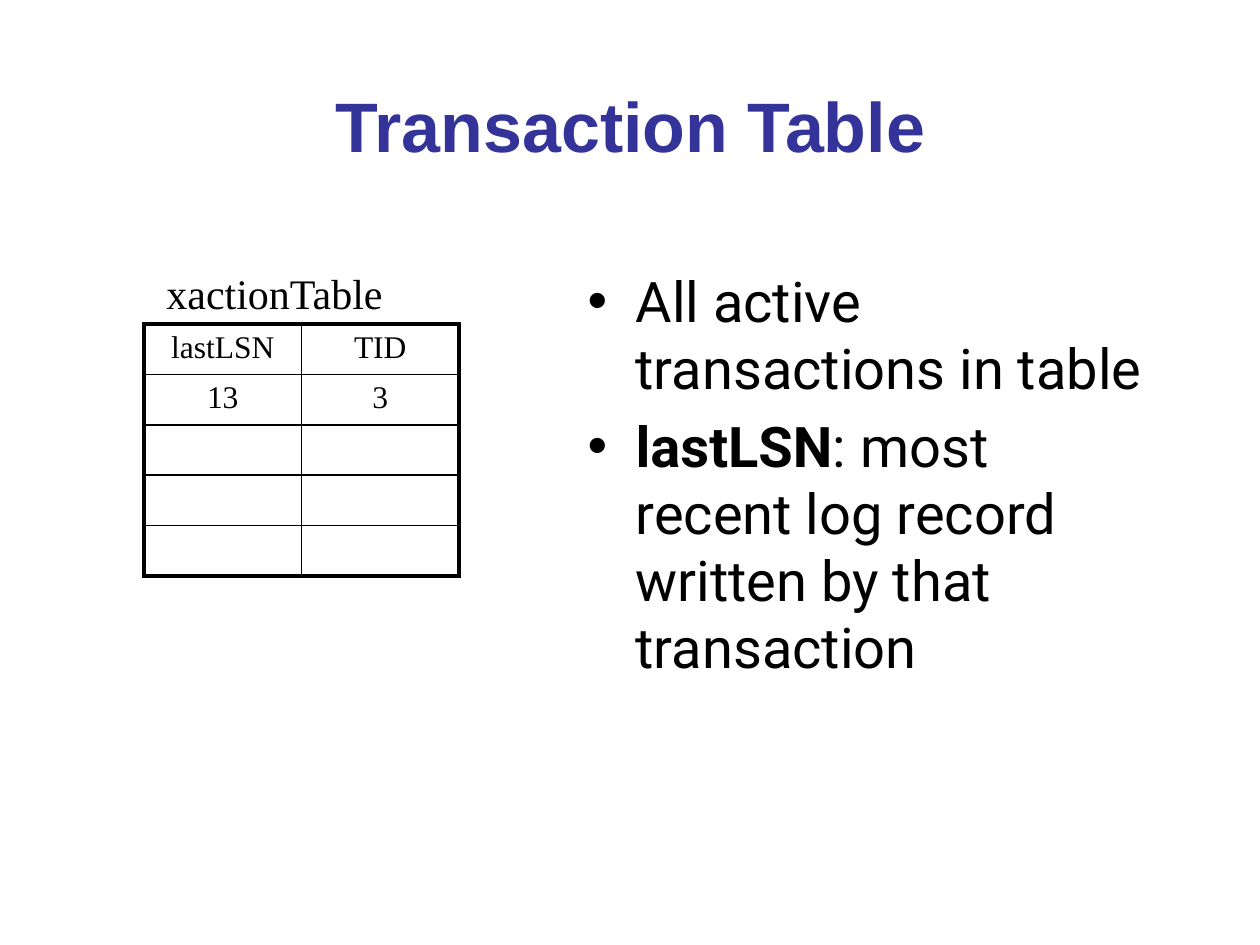
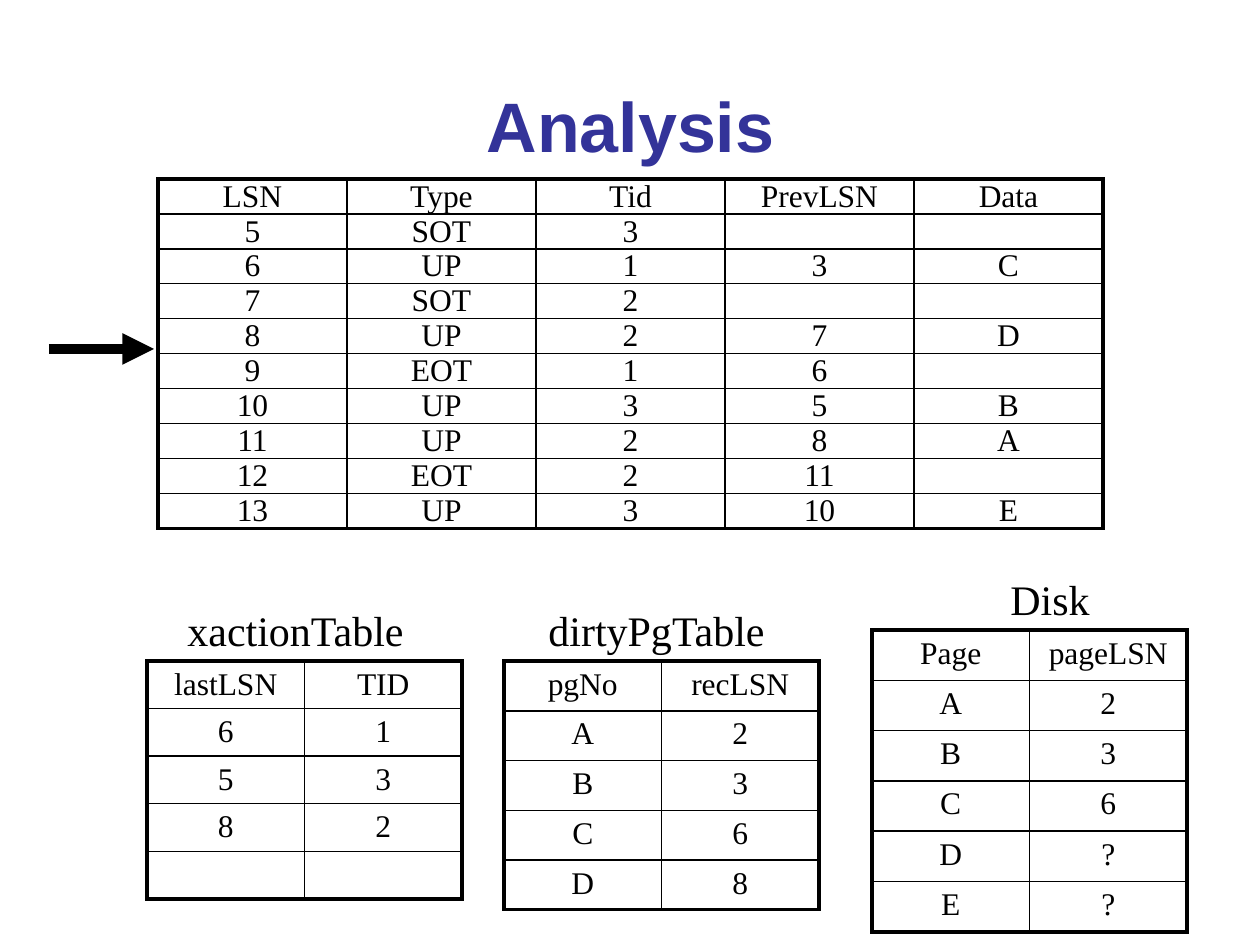
from lxml.etree import SubElement
from pptx import Presentation
from pptx.dml.color import RGBColor
from pptx.enum.shapes import MSO_CONNECTOR
from pptx.enum.text import MSO_ANCHOR, MSO_AUTO_SIZE, PP_ALIGN
from pptx.oxml.ns import qn
from pptx.util import Emu, Pt

# Shared style
INDIGO = RGBColor(0x33, 0x33, 0x99)
BLACK = RGBColor(0, 0, 0)
WHITE = RGBColor(0xFF, 0xFF, 0xFF)
TITLE_FONT, BODY_FONT, TABLE_FONT = "Arial", "Roboto", "Times New Roman"
PX_PER_INCH = 126
OUTER, INNER = Pt(2.25), Pt(1)
TITLE_BOX = (95, 57, 1071, 136)
BODY_BOX = (575, 260, 591, 629)
LABEL_RISE = 63
LABEL_HEIGHT = 63

# Content
ACTIVE_POINTS = [
    [("All active transactions in table", False)],
    [("lastLSN", True),
     (": most recent log record written by that transaction", False)],
]

# Each table: box in px, cell margins (side, top and bottom) in px, rows,
# and an optional label as (text, offset from table left, width)
ACTIVE_TABLE = dict(
    box=(144, 324, 315, 252), margins=(13, 6),
    label=("xactionTable", 10, 245),
    rows=[("lastLSN", "TID"), ("13", "3"), ("", ""), ("", ""), ("", "")])

ANALYSIS_TABLES = [
    dict(box=(158, 179, 945, 349), margins=(6, 0), label=None,
         rows=[("LSN", "Type", "Tid", "PrevLSN", "Data"),
               ("5", "SOT", "3", "", ""),
               ("6", "UP", "1", "3", "C"),
               ("7", "SOT", "2", "", ""),
               ("8", "UP", "2", "7", "D"),
               ("9", "EOT", "1", "6", ""),
               ("10", "UP", "3", "5", "B"),
               ("11", "UP", "2", "8", "A"),
               ("12", "EOT", "2", "11", ""),
               ("13", "UP", "3", "10", "E")]),
    dict(box=(147, 661, 315, 238), margins=(13, 6),
         label=("xactionTable", 28, 245),
         rows=[("lastLSN", "TID"), ("6", "1"), ("5", "3"), ("8", "2"),
               ("", "")]),
    dict(box=(504, 661, 315, 238), margins=(13, 6),
         label=("dirtyPgTable", 32, 245),
         rows=[("pgNo", "recLSN"), ("A", "2"), ("B", "3"), ("C", "6"),
               ("D", "8")]),
    dict(box=(872, 630, 315, 302), margins=(13, 6),
         label=("Disk", 126, 105),
         rows=[("Page", "pageLSN"), ("A", "2"), ("B", "3"), ("C", "6"),
               ("D", "?"), ("E", "?")]),
]

LOG_ARROW = (49, 349, 154, 349)


def px(n):
    return Emu(round(n * 914400 / PX_PER_INCH))


def place(shape, box):
    shape.left, shape.top, shape.width, shape.height = map(px, box)


def add_text(p, text, font, size, color=BLACK, bold=False):
    r = p.add_run()
    r.text = text
    r.font.name, r.font.size, r.font.bold = font, Pt(size), bold
    r.font.color.rgb = color


def add_slide(prs, layout, title):
    s = prs.slides.add_slide(prs.slide_layouts[layout])
    place(s.shapes.title, TITLE_BOX)
    tf = s.shapes.title.text_frame
    tf.auto_size, tf.vertical_anchor = MSO_AUTO_SIZE.NONE, MSO_ANCHOR.MIDDLE
    p = tf.paragraphs[0]
    p.alignment = PP_ALIGN.CENTER
    add_text(p, title, TITLE_FONT, 40, INDIGO, True)
    return s


def add_bullets(body, points):
    place(body, BODY_BOX)
    tf = body.text_frame
    tf.auto_size = MSO_AUTO_SIZE.NONE
    for i, runs in enumerate(points):
        p = tf.add_paragraph() if i else tf.paragraphs[0]
        pPr = p._p.get_or_add_pPr()
        pPr.set("marL", str(px(48)))
        pPr.set("indent", str(-px(48)))
        SubElement(pPr, qn("a:buChar"), char="•")
        p.space_before = Pt(6 if i else 0)
        for text, bold in runs:
            add_text(p, text, BODY_FONT, 32, bold=bold)


def set_border(cell, side, width):
    ln = SubElement(cell._tc.get_or_add_tcPr(), qn(f"a:ln{side}"), w=str(width))
    fill = SubElement(ln, qn("a:solidFill"))
    SubElement(fill, qn("a:srgbClr"), val=str(BLACK))


def fill_cell(cell, text, margins):
    side, top = map(px, margins)
    cell.margin_left = cell.margin_right = side
    cell.margin_top = cell.margin_bottom = top
    cell.fill.solid()
    cell.fill.fore_color.rgb = WHITE
    p = cell.text_frame.paragraphs[0]
    p.alignment = PP_ALIGN.CENTER
    if text:
        add_text(p, text, TABLE_FONT, 18)
    else:  # keeps empty rows as low as the filled ones
        end = SubElement(p._p, qn("a:endParaRPr"), sz="1800")
        SubElement(end, qn("a:latin"), typeface=TABLE_FONT)


def add_grid(s, box, margins, rows, label):
    x, y, width, height = box
    n_rows, n_cols = len(rows), len(rows[0])
    table = s.shapes.add_table(n_rows, n_cols, *map(px, box)).table
    table.first_row = table.horz_banding = False
    for col in table.columns:
        col.width = px(width / n_cols)
    for i, texts in enumerate(rows):
        table.rows[i].height = px(height / n_rows)
        for j, text in enumerate(texts):
            cell = table.cell(i, j)
            edges = (("L", j == 0), ("R", j == n_cols - 1),
                     ("T", i == 0), ("B", i == n_rows - 1))
            for side, is_outer in edges:
                set_border(cell, side, OUTER if is_outer else INNER)
            fill_cell(cell, text, margins)
    if label:
        text, offset, label_width = label
        label_box = (x + offset, y - LABEL_RISE, label_width, LABEL_HEIGHT)
        tf = s.shapes.add_textbox(*map(px, label_box)).text_frame
        tf.word_wrap = False
        add_text(tf.paragraphs[0], text, TABLE_FONT, 24)


def add_arrow(s, ends):
    arrow = s.shapes.add_connector(MSO_CONNECTOR.STRAIGHT, *map(px, ends))
    arrow.line.color.rgb = BLACK
    arrow.line.width = Pt(6)
    SubElement(arrow.line._get_or_add_ln(), qn("a:tailEnd"), type="triangle")
    SubElement(arrow._element.spPr, qn("a:effectLst"))


def main():
    prs = Presentation()
    prs.slide_width, prs.slide_height = px(1260), px(945)

    # Transaction table
    s = add_slide(prs, 1, "Transaction Table")
    add_bullets(s.placeholders[1], ACTIVE_POINTS)
    add_grid(s, **ACTIVE_TABLE)

    # Analysis pass over the log
    s = add_slide(prs, 5, "Analysis")
    add_arrow(s, LOG_ARROW)
    for grid in ANALYSIS_TABLES:
        add_grid(s, **grid)

    prs.save("out.pptx")


if __name__ == "__main__":
    main()
